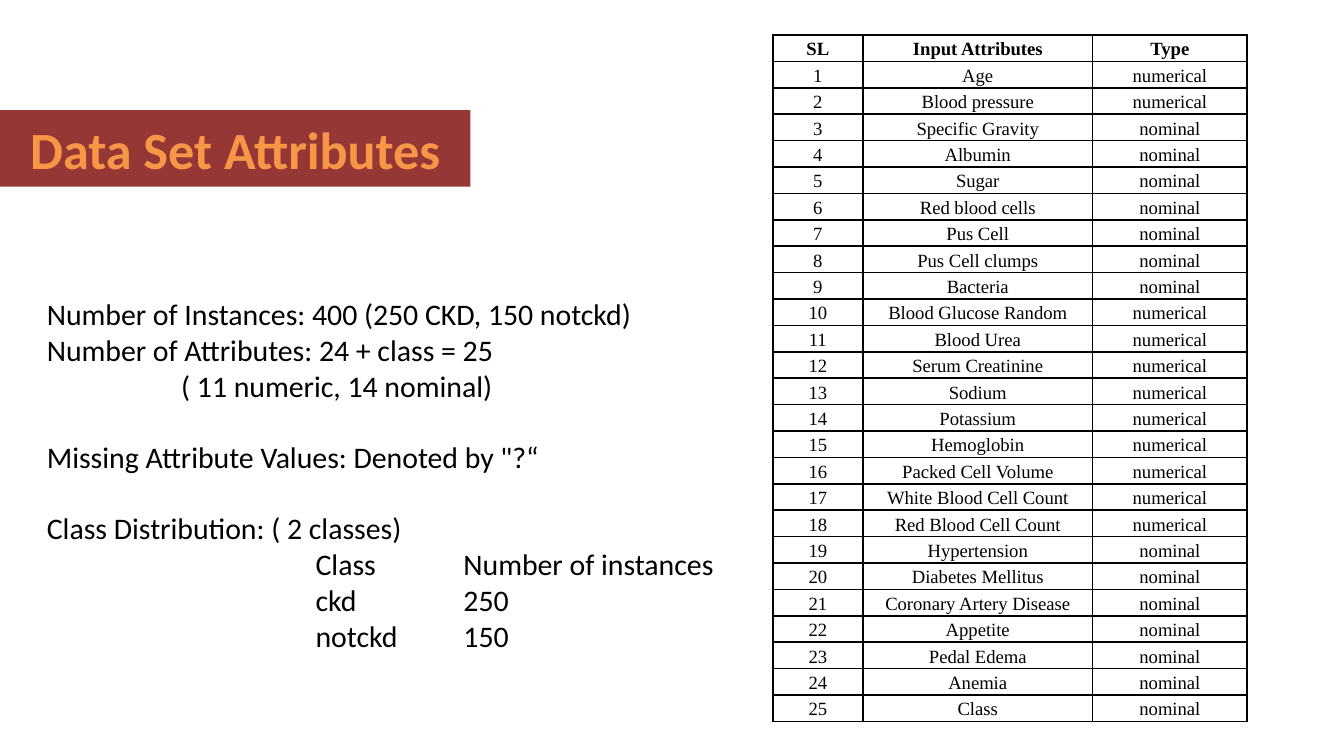
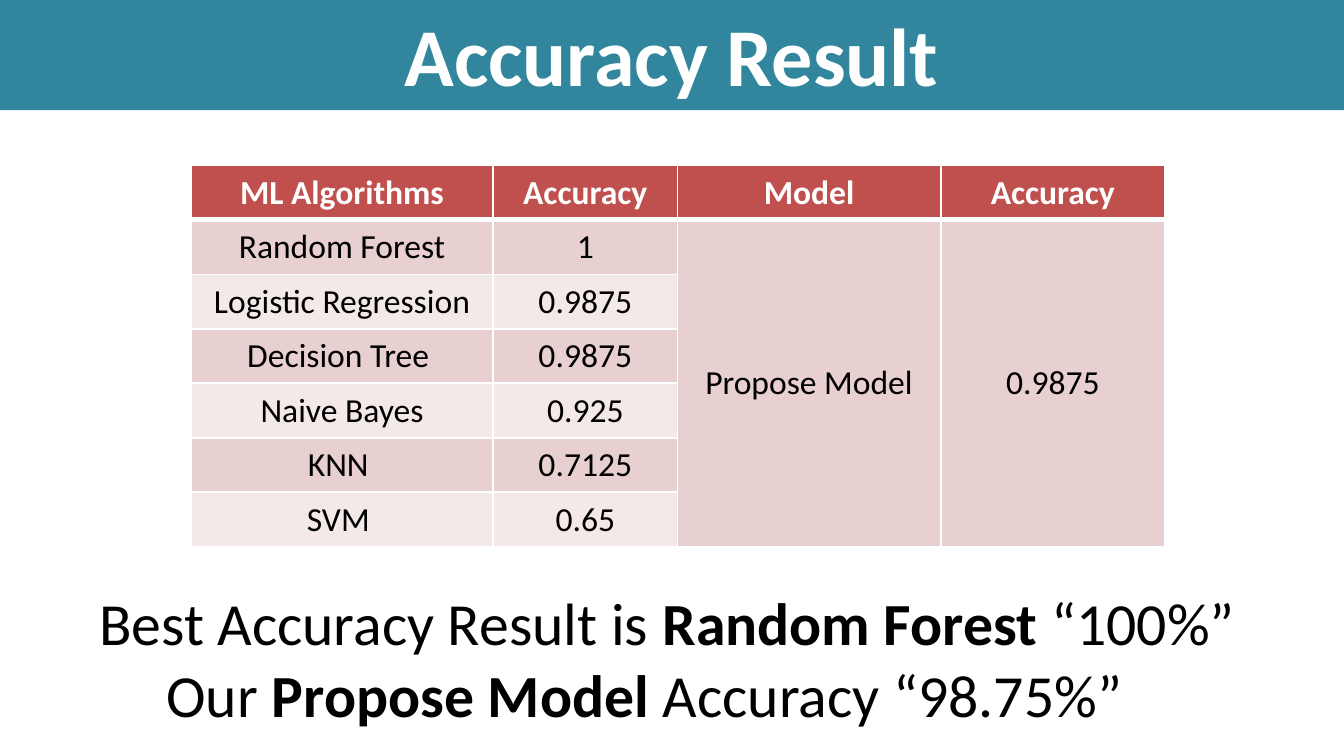
from dataclasses import dataclass

from pptx import Presentation
from pptx.dml.color import RGBColor
from pptx.enum.shapes import MSO_SHAPE
from pptx.enum.text import MSO_ANCHOR, MSO_AUTO_SIZE, PP_ALIGN
from pptx.oxml.ns import qn
from pptx.util import Inches, Pt
from lxml.etree import SubElement


@dataclass(frozen=True)
class Theme:
    sans: str = "Calibri"
    serif: str = "Times New Roman"
    black: str = "000000"
    white: str = "FFFFFF"
    maroon: str = "953735"
    orange: str = "F79646"
    teal: str = "31859C"
    red: str = "C0504D"
    stripes: tuple = ("E8D0D0", "F4E9E9")
    small_title: int = 28
    big_title: int = 44
    body: int = 16
    conclusion: int = 32
    attribute: int = 10
    result: int = 18


THEME = Theme()

NUMERICAL = {1, 2, *range(10, 19)}
ATTRIBUTES = [
    "Age", "Blood pressure", "Specific Gravity", "Albumin", "Sugar",
    "Red blood cells", "Pus Cell", "Pus Cell clumps", "Bacteria",
    "Blood Glucose Random", "Blood Urea", "Serum Creatinine", "Sodium",
    "Potassium", "Hemoglobin", "Packed Cell Volume",
    "White Blood Cell Count", "Red Blood Cell Count", "Hypertension",
    "Diabetes Mellitus", "Coronary Artery Disease", "Appetite",
    "Pedal Edema", "Anemia", "Class",
]

# Each line: text, tab stops in inches, space before in points
DATASET_FACTS = [
    ("Number of Instances: 400 (250 CKD, 150 notckd)", (), 0),
    ("Number of Attributes: 24 + class = 25", (), 0),
    ("\t( 11 numeric, 14 nominal)", (1,), 0),
    ("Missing Attribute Values: Denoted by \"?“", (), 19),
    ("Class Distribution: ( 2 classes)", (), 19),
    ("\tClass\tNumber of instances", (2, 3.1), 0),
    ("\tckd\t250", (2, 3.1), 0),
    ("\tnotckd\t150", (2, 3.1), 0),
]

RESULTS = [
    ["ML Algorithms", "Accuracy", "Model", "Accuracy"],
    ["Random Forest", "1", "Propose Model", "0.9875"],
    ["Logistic Regression", "0.9875"],
    ["Decision Tree ", "0.9875"],
    ["Naive Bayes", "0.925"],
    ["KNN ", "0.7125"],
    ["SVM ", "0.65"],
]

# Each line: left indent in inches, runs as (text, bold)
CONCLUSIONS = [
    (0, [("Best Accuracy Result is ", False), ("Random Forest ", True),
         ("“100%”", False)]),
    (0.5, [("Our ", False), ("Propose Model", True),
           (" Accuracy “98.75%”", False)]),
]


def inches(*lengths):
    return [Inches(length) for length in lengths]


def add_run(paragraph, text, size, color=THEME.black, bold=False,
            font=THEME.sans):
    run = paragraph.add_run()
    run.text = text
    run.font.name = font
    run.font.size = Pt(size)
    run.font.bold = bold
    run.font.color.rgb = RGBColor.from_string(color)


def add_title_band(slide, box, title, size, fill, color):
    band = slide.shapes.add_shape(MSO_SHAPE.RECTANGLE, *inches(*box))
    band.shadow.inherit = False
    band.fill.solid()
    band.fill.fore_color.rgb = RGBColor.from_string(fill)
    band.line.fill.background()
    frame = band.text_frame
    frame.word_wrap = True
    frame.auto_size = MSO_AUTO_SIZE.SHAPE_TO_FIT_TEXT
    frame.vertical_anchor = MSO_ANCHOR.MIDDLE
    frame.paragraphs[0].alignment = PP_ALIGN.CENTER
    add_run(frame.paragraphs[0], title, size, color, bold=True)


def add_text_lines(slide, box, count):
    """Add a text box and return its empty paragraphs."""
    frame = slide.shapes.add_textbox(*inches(*box)).text_frame
    frame.word_wrap = True
    frame.auto_size = MSO_AUTO_SIZE.SHAPE_TO_FIT_TEXT
    for _ in range(count - 1):
        frame.add_paragraph()
    return frame.paragraphs


def set_tab_stops(paragraph, stops):
    if not stops:
        return
    tab_list = SubElement(paragraph._p.get_or_add_pPr(), qn("a:tabLst"))
    for stop in stops:
        SubElement(tab_list, qn("a:tab"), pos=str(Inches(stop)), algn="l")


def set_borders(cell, color, widths):
    """Draw the left, right, top and bottom borders, widths in points."""
    properties = cell._tc.get_or_add_tcPr()
    for side, width in zip("LRTB", widths):
        line = SubElement(properties, qn(f"a:ln{side}"), w=str(Pt(width)))
        fill = SubElement(line, qn("a:solidFill"))
        SubElement(fill, qn("a:srgbClr"), val=color)


def add_grid(slide, left, top, columns, row_height, row_count):
    table = slide.shapes.add_table(
        row_count, len(columns),
        *inches(left, top, sum(columns), row_height * row_count)).table
    table.first_row = table.horz_banding = False
    for column, width in zip(table.columns, columns):
        column.width = Inches(width)
    for row in table.rows:
        row.height = Inches(row_height)
    return table


def write_cell(cell, text, size, **style):
    cell.vertical_anchor = MSO_ANCHOR.MIDDLE
    paragraph = cell.text_frame.paragraphs[0]
    paragraph.alignment = PP_ALIGN.CENTER
    add_run(paragraph, text, size, **style)
    return paragraph


def add_attribute_table(slide):
    rows = [("SL", "Input Attributes", "Type")]
    for number, name in enumerate(ATTRIBUTES, 1):
        kind = "numerical" if number in NUMERICAL else "nominal"
        rows.append((str(number), name, kind))
    table = add_grid(slide, 5.75, 0.26, (0.67, 1.71, 1.15),
                     5.11 / len(rows), len(rows))
    for r, row in enumerate(rows):
        for c, text in enumerate(row):
            cell = table.cell(r, c)
            cell.margin_left = cell.margin_right = Inches(0.07)
            cell.margin_top = cell.margin_bottom = 0
            set_borders(cell, THEME.black, (1, 1, 1, 1))
            cell.fill.background()
            paragraph = write_cell(cell, text, THEME.attribute,
                                   bold=r == 0, font=THEME.serif)
            paragraph.line_spacing = 1.15


def add_result_table(slide):
    table = add_grid(slide, 1.42, 1.23, (2.25, 1.37, 1.96, 1.67),
                     2.84 / len(RESULTS), len(RESULTS))
    last = len(RESULTS) - 1
    for c in (2, 3):
        table.cell(1, c).merge(table.cell(last, c))
    for r, row in enumerate(RESULTS):
        header = r == 0
        for c in range(4):
            cell = table.cell(r, c)
            set_borders(cell, THEME.white,
                        (1, 1, 3 if r == 1 else 1, 3 if header else 1))
            stripe = THEME.stripes[(r - 1) % 2 if c < 2 else 0]
            cell.fill.solid()
            cell.fill.fore_color.rgb = RGBColor.from_string(
                THEME.red if header else stripe)
            if c < len(row):
                write_cell(cell, row[c], THEME.result, bold=header,
                           color=THEME.white if header else THEME.black)


def build_dataset_slide(slide):
    add_title_band(slide, (0, 0.82, 3.5, 0.57), "Data Set Attributes",
                   THEME.small_title, THEME.maroon, THEME.orange)
    add_attribute_table(slide)
    lines = add_text_lines(slide, (0.25, 2.15, 5.25, 2.79),
                           len(DATASET_FACTS))
    for line, (text, stops, gap) in zip(lines, DATASET_FACTS):
        if gap:
            line.space_before = Pt(gap)
        set_tab_stops(line, stops)
        add_run(line, text, THEME.body)


def build_accuracy_slide(slide):
    lines = add_text_lines(slide, (0.64, 4.31, 8.73, 1.18),
                           len(CONCLUSIONS))
    for line, (indent, runs) in zip(lines, CONCLUSIONS):
        if indent:
            properties = line._p.get_or_add_pPr()
            properties.set("marL", str(Inches(indent)))
            properties.set("indent", "0")
        for text, bold in runs:
            add_run(line, text, THEME.conclusion, bold=bold)
    add_title_band(slide, (0, -0.02, 10, 0.84), "Accuracy Result",
                   THEME.big_title, THEME.teal, THEME.white)
    add_result_table(slide)


def main():
    deck = Presentation()
    # Widescreen, 16:9
    deck.slide_width = Inches(10)
    deck.slide_height = Inches(10 * 9 / 16)
    blank = deck.slide_layouts[6]
    for build in (build_dataset_slide, build_accuracy_slide):
        build(deck.slides.add_slide(blank))
    deck.save("out.pptx")


if __name__ == "__main__":
    main()
